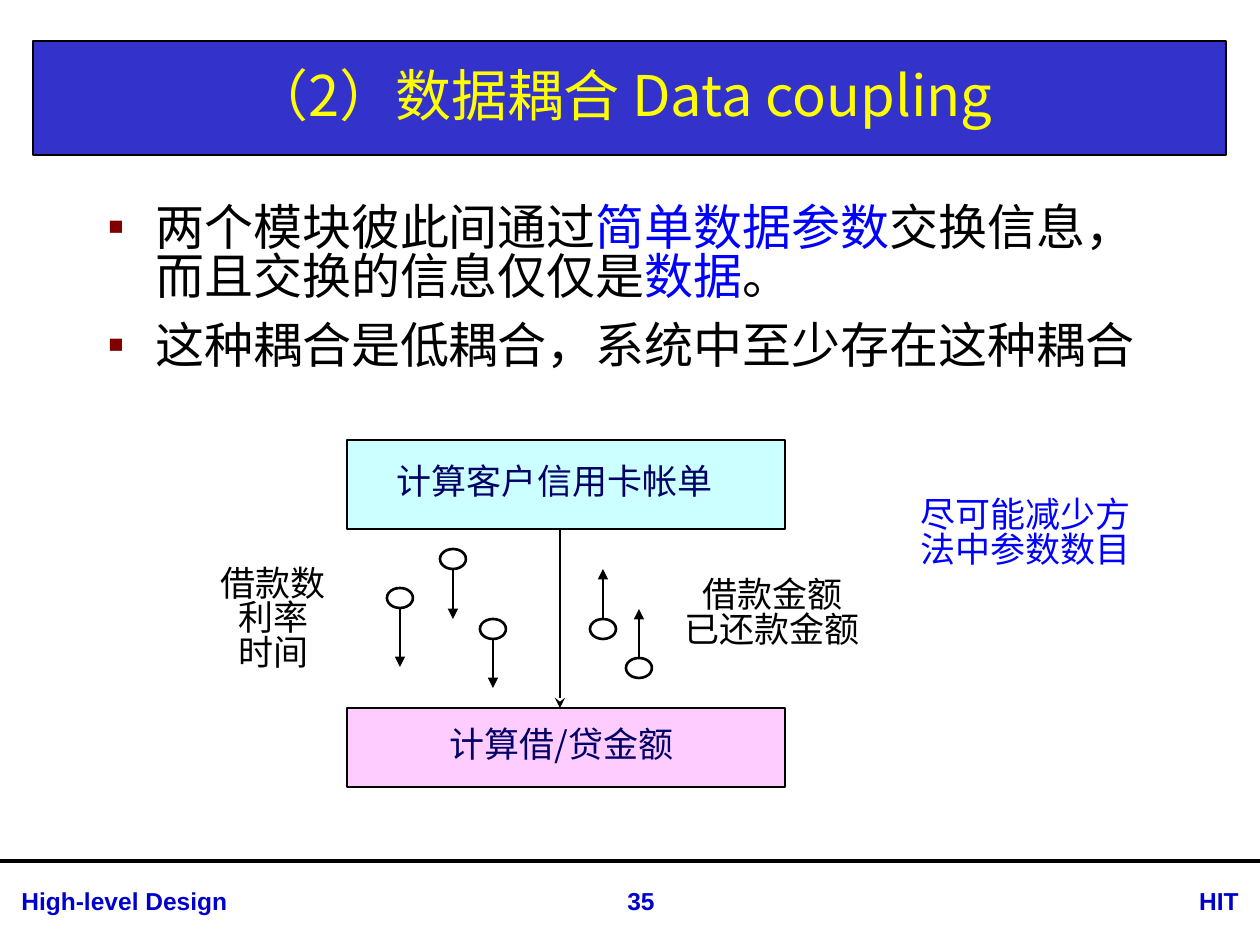
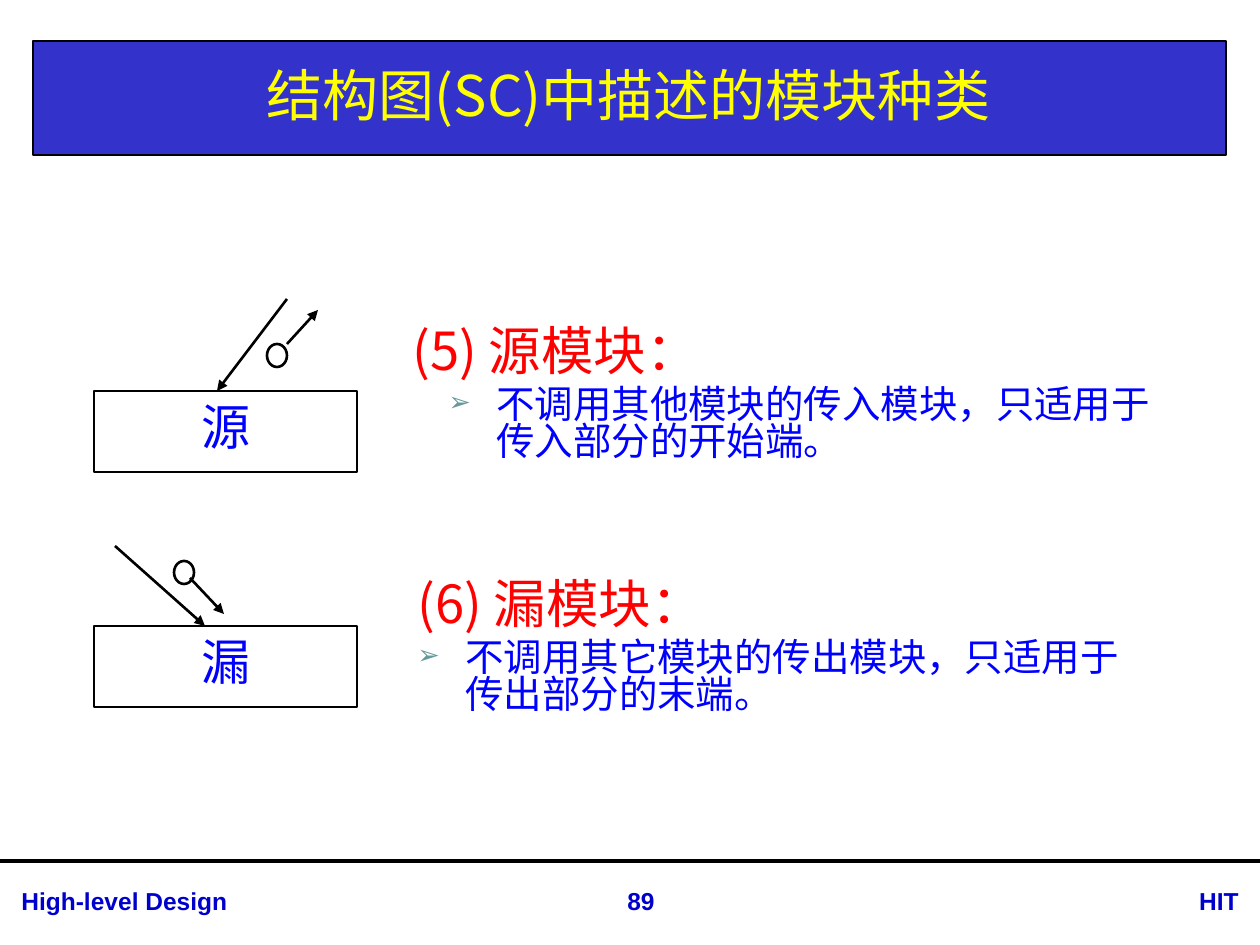
from lxml import etree
from pptx import Presentation
from pptx.dml.color import RGBColor
from pptx.enum.shapes import MSO_CONNECTOR, MSO_SHAPE
from pptx.enum.text import MSO_ANCHOR, PP_ALIGN
from pptx.oxml.ns import qn
from pptx.util import Emu, Pt

PX_PER_INCH = 126
CJK_FONT = "Noto Sans CJK SC"
FOOTER_FONT = "Arial"
LINE_SPACING = 0.82

BLACK = RGBColor(0x00, 0x00, 0x00)
BAND_BLUE = RGBColor(0x33, 0x33, 0xCC)
TITLE_YELLOW = RGBColor(0xFF, 0xFF, 0x00)
FOOTER_BLUE = RGBColor(0x00, 0x00, 0xCC)
BLUE = RGBColor(0x00, 0x00, 0xFF)
RED = RGBColor(0xFF, 0x00, 0x00)
NAVY = RGBColor(0x00, 0x00, 0x66)
MAROON = RGBColor(0x80, 0x00, 0x00)
TEAL = RGBColor(0x66, 0x99, 0x99)
PALE_CYAN = RGBColor(0xCC, 0xFF, 0xFF)
PALE_PINK = RGBColor(0xFF, 0xCC, 0xFF)

LEFT, CENTER, RIGHT = PP_ALIGN.LEFT, PP_ALIGN.CENTER, PP_ALIGN.RIGHT
TOP, MIDDLE = MSO_ANCHOR.TOP, MSO_ANCHOR.MIDDLE
RECTANGLE, OVAL = MSO_SHAPE.RECTANGLE, MSO_SHAPE.OVAL
STRAIGHT = MSO_CONNECTOR.STRAIGHT


def px(length):
    """Turn pixels into EMU."""
    return Emu(round(length * 914400 / PX_PER_INCH))


def add_outline(slide, kind, box, fill=None, width=1.5):
    """Draw a black-edged preset shape, hollow unless a fill is given."""
    shape = slide.shapes.add_shape(kind, *map(px, box))
    shape.shadow.inherit = False
    if fill is None:
        shape.fill.background()
    else:
        shape.fill.solid()
        shape.fill.fore_color.rgb = fill
    shape.line.color.rgb = BLACK
    shape.line.width = Pt(width)
    return shape


def add_line(slide, start, end, width=1.5, head=None):
    """Draw a straight black line, with an arrowhead at its end if named."""
    line = slide.shapes.add_connector(STRAIGHT, *map(px, (*start, *end)))
    line.line.color.rgb = BLACK
    line.line.width = Pt(width)
    if head:
        etree.SubElement(line.line._get_or_add_ln(), qn("a:tailEnd"), type=head)
    etree.SubElement(line._element.spPr, qn("a:effectLst"))


def set_bullet(paragraph, char, color, percent=100):
    """Give a paragraph a coloured bullet."""
    props = paragraph._p.get_or_add_pPr()
    tint = etree.SubElement(props, qn("a:buClr"))
    etree.SubElement(tint, qn("a:srgbClr"), val=str(color))
    etree.SubElement(props, qn("a:buSzPct"), val=str(percent * 1000))
    etree.SubElement(props, qn("a:buFont"), typeface=FOOTER_FONT)
    etree.SubElement(props, qn("a:buChar"), char=char)


def set_indent(paragraph, margin, first=0):
    """Set the left margin and first-line offset of a paragraph."""
    props = paragraph._p.get_or_add_pPr()
    props.set("marL", str(px(margin)))
    props.set("indent", str(px(first)))


def set_font(paragraph, size, color, name=CJK_FONT, bold=False):
    """Set the Latin and East Asian font of a whole paragraph."""
    font = paragraph.font
    font.size = Pt(size)
    font.bold = bold
    font.color.rgb = color
    font.name = name
    defaults = paragraph._p.pPr.find(qn("a:defRPr"))
    etree.SubElement(defaults, qn("a:ea"), typeface=name)


def add_paragraphs(frame, count):
    """Return the first paragraph of a frame and as many more as needed."""
    return [frame.paragraphs[0]] + [frame.add_paragraph() for _ in range(count - 1)]


def write(shape, lines, size, color, align=CENTER, anchor=MIDDLE, wrap=True,
          name=CJK_FONT, bold=False):
    """Write plain lines of one style into a shape."""
    frame = shape.text_frame
    frame.word_wrap = wrap
    frame.vertical_anchor = anchor
    for paragraph, line in zip(add_paragraphs(frame, len(lines)), lines):
        paragraph.text = line
        paragraph.alignment = align
        if name == CJK_FONT:
            paragraph.line_spacing = LINE_SPACING
        set_font(paragraph, size, color, name, bold)


def add_text(slide, box, lines, size, color, **style):
    """Add a text box of plain lines."""
    write(slide.shapes.add_textbox(*map(px, box)), lines, size, color, **style)


def add_frame(slide, title, number, title_width=1191):
    """Add a slide with its title band, rule and footer."""
    slide = slide_deck_add(slide)
    add_outline(slide, RECTANGLE, (33, 41, 1193, 114), BAND_BLUE, 0.75)
    add_line(slide, (0, 861), (1260, 861), 2.25)
    footers = (
        (9, 485, "High-level Design", LEFT),
        (1121, 130, "HIT", RIGHT),
        (576, 130, str(number), CENTER),
    )
    for left, width, words, align in footers:
        add_text(slide, (left, 880, width, 43), [words], 14, FOOTER_BLUE,
                 align=align, anchor=TOP, name=FOOTER_FONT, bold=True)
    add_text(slide, (33, 45, title_width, 110), [title], 32, TITLE_YELLOW)
    return slide


def slide_deck_add(deck):
    """Add a blank slide to the deck."""
    return deck.slides.add_slide(deck.slide_layouts[6])


def add_points(slide, box, points):
    """Add bulleted points whose runs may be highlighted in blue."""
    frame = slide.shapes.add_textbox(*map(px, box)).text_frame
    frame.word_wrap = True
    for index, point in enumerate(points):
        paragraph = add_paragraphs(frame, 1)[0] if index == 0 else frame.add_paragraph()
        set_indent(paragraph, 48, -48)
        set_bullet(paragraph, "▪", MAROON)
        paragraph.line_spacing = LINE_SPACING
        paragraph.space_before = Pt(6 if index else 0)
        paragraph.space_after = Pt(6)
        set_font(paragraph, 28, BLACK)
        for words, highlighted in point:
            run = paragraph.add_run()
            run.text = words
            if highlighted:
                run.font.color.rgb = BLUE


def add_couple(slide, center, top, length, direction):
    """Draw a data couple: a ring with an arrow going down (1) or up (-1)."""
    ring_width, ring_height = 26, 20
    add_outline(slide, OVAL, (center - ring_width // 2, top, ring_width, ring_height))
    start = top + ring_height if direction > 0 else top
    add_line(slide, (center, start), (center, start + direction * length), head="triangle")


def add_coupling_diagram(slide, left, top):
    """Draw the calling and called modules and the data passed between them."""
    modules = (
        (0, 89, PALE_CYAN, "计算客户信用卡帐单", 22),
        (268, 79, PALE_PINK, "计算借/贷金额", 8),
    )
    for offset, height, fill, name, extra_inset in modules:
        module = add_outline(slide, RECTANGLE, (left, top + offset, 438, height), fill, 0.75)
        module.text_frame.margin_right = px(13 + extra_inset)
        write(module, [name], 20, NAVY)
    add_line(slide, (left + 213, top + 89), (left + 213, top + 268), 0.75, "stealth")
    couples = (
        (106, 109, 50, 1), (53, 148, 59, 1), (146, 179, 49, 1),
        (256, 179, 50, -1), (292, 218, 49, -1),
    )
    for center, offset, length, direction in couples:
        add_couple(slide, left + center, top + offset, length, direction)
    add_text(slide, (left - 180, top + 106, 213, 149), ["借款数", "利率", "时间"],
             20, BLACK, wrap=False)
    add_text(slide, (left + 273, top + 110, 305, 129), ["借款金额", "已还款金额"],
             20, BLACK, wrap=False)


def add_module(slide, left, top, name, call, ring, flow):
    """Draw a module with its call arrow and the data flowing along it."""
    module = add_outline(slide, RECTANGLE, (left, top, 263, 81))
    write(module, [name], 28, BLUE, wrap=False)
    for start, end in (call, flow):
        add_line(slide, (left + start[0], top + start[1]),
                 (left + end[0], top + end[1]), head="triangle")
    add_outline(slide, OVAL, (left + ring[0], top + ring[1], 20, 23))


def add_explanation(slide, box, heading, margin, detail):
    """Add a red heading above a bulleted blue explanation."""
    frame = slide.shapes.add_textbox(*map(px, box)).text_frame
    frame.word_wrap = True
    title, body = add_paragraphs(frame, 2)
    title.text, body.text = heading, detail
    set_indent(title, margin)
    set_indent(body, 96, -48)
    set_bullet(body, "➢", TEAL, 70)
    body.space_before = Pt(4)
    for paragraph, size, color in ((title, 30, RED), (body, 22, BLUE)):
        paragraph.line_spacing = LINE_SPACING
        set_font(paragraph, size, color)


def build_data_coupling(deck):
    """Build the slide on data coupling."""
    slide = add_frame(deck, "（2）数据耦合 Data coupling", 35, 1179)
    add_points(slide, (95, 201, 1091, 590), (
        (("两个模块彼此间通过", False), ("简单数据参数", True),
         ("交换信息，而且交换的信息仅仅是", False), ("数据", True), ("。", False)),
        (("这种耦合是低耦合，系统中至少存在这种耦合", False),),
    ))
    add_coupling_diagram(slide, 347, 440)
    add_text(slide, (908, 494, 238, 135), ["尽可能减少方法中参数数目"],
             20, BLUE, align=LEFT, anchor=TOP)


def build_module_kinds(deck):
    """Build the slide on source and sink modules."""
    slide = add_frame(deck, "结构图(SC)中描述的模块种类", 89)
    add_module(slide, 94, 391, "源", ((193, -92), (123, 0)), (173, -47),
               ((193, -47), (224, -81)))
    add_explanation(slide, (388, 323, 800, 194), "(5) 源模块：", 12,
                    "不调用其他模块的传入模块，只适用于传入部分的开始端。")
    add_module(slide, 94, 626, "漏", ((21, -80), (111, 0)), (80, -65),
               ((96, -48), (130, -12)))
    add_explanation(slide, (357, 576, 809, 190), "(6) 漏模块：", 48,
                    "不调用其它模块的传出模块，只适用于传出部分的末端。")


def main():
    """Build and save the deck."""
    deck = Presentation()
    deck.slide_width, deck.slide_height = px(1260), px(945)
    build_data_coupling(deck)
    build_module_kinds(deck)
    deck.save("out.pptx")


if __name__ == "__main__":
    main()
